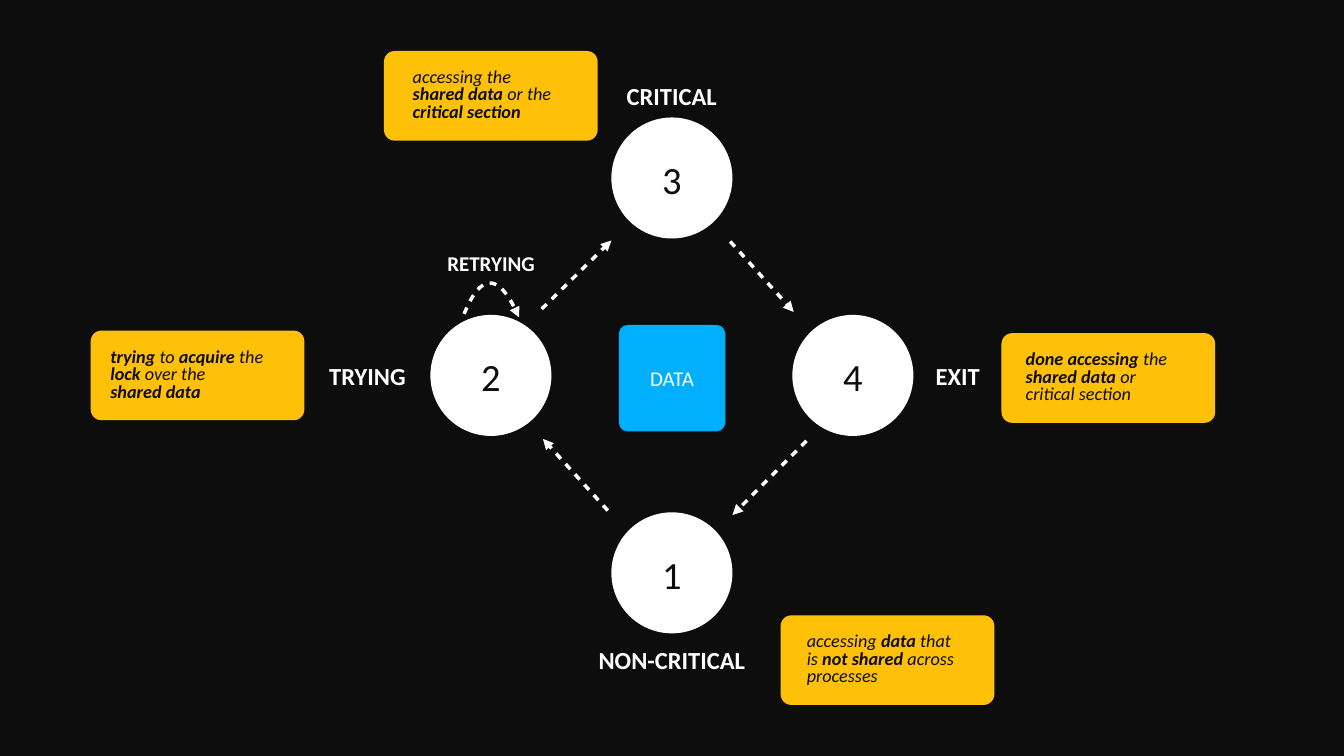
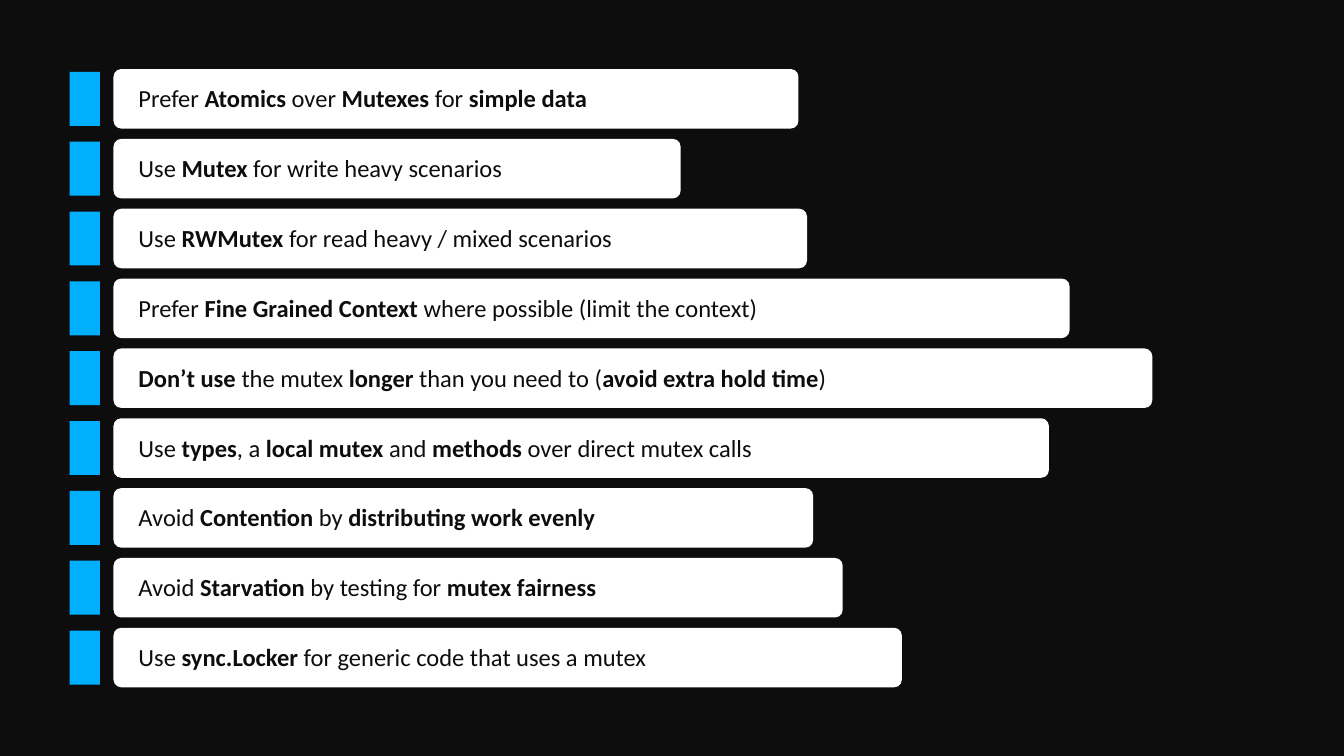
from dataclasses import dataclass

import lxml.etree
import pptx
import pptx.dml.color
import pptx.enum.shapes
import pptx.enum.text
import pptx.oxml.ns
import pptx.util

Cm, Pt = pptx.util.Cm, pptx.util.Pt
SHAPE = pptx.enum.shapes.MSO_SHAPE
ALIGN = pptx.enum.text.PP_ALIGN


# Colours, font and type sizes (points)
@dataclass(frozen=True)
class Theme:
    dark: str = "0D0D0D"
    white: str = "FFFFFF"
    amber: str = "FFC107"
    blue: str = "00B0FF"
    font: str = "Calibri"
    digit: int = 55
    label: int = 35
    small: int = 30
    note: int = 26
    before: int = 34
    stroke: int = 5


THEME = Theme()

# Cycle of lock states: ring centre, radii and circle size (cm)
MID_X, MID_Y = 33.86, 18.92
STEP_X, STEP_Y = 9.12, 9.95
DISC = 6.1

# digit, column, row, name, then left, top and width of the name
STATES = [
    ("1", 0, 1, "NON-CRITICAL", 29.21, 32.28, 9.3),
    ("2", -1, 0, "TRYING", 16.03, 17.93, 4.98),
    ("3", 0, -1, "CRITICAL", 30.91, 3.84, 5.89),
    ("4", 1, 0, "EXIT", 46.74, 17.93, 3.05),
]
ARROWS = [
    (27.3, 15.57, 30.81, 12.12),
    (36.8, 12.17, 40, 15.72),
    (40.64, 22.22, 36.91, 25.96),
    (30.63, 25.73, 27.36, 22.12),
]
RETRY = [(23.39, 15.82), (24.26, 13.69), (25.17, 13.74), (26.16, 16)]

# left, top, text indent, text width, text with *bold* parts
NOTES = [
    (39.34, 31.01, 1.24, 8.59,
     "accessing *data* that\nis *not shared* across\nprocesses"),
    (4.57, 16.66, 0.91, 8.94,
     "*trying* to *acquire* the\n*lock* over the\n*shared data*"),
    (19.35, 2.57, 1.37, 8,
     "accessing the\n*shared data* or the\n*critical section*"),
    (50.47, 16.79, 1.14, 8.51,
     "*done accessing* the\n*shared data* or\ncritical section"),
]

# bar width, text with *bold* parts
TIPS = [
    (34.52, "Prefer *Atomics* over *Mutexes* for *simple data*"),
    (28.58, "Use *Mutex* for write heavy scenarios"),
    (34.95, "Use *RWMutex* for read heavy / mixed scenarios"),
    (48.18, "Prefer *Fine Grained Context* where possible (limit the context)"),
    (52.35, "*Don’t use* the mutex *longer* than you need to "
            "(*avoid extra hold time*)"),
    (47.14, "Use *types*, a *local mutex* and *methods* over direct mutex calls"),
    (35.26, "Avoid *Contention* by *distributing work evenly*"),
    (36.75, "Avoid *Starvation* by testing for *mutex fairness*"),
    (39.73, "Use *sync.Locker* for generic code that uses a mutex"),
]


def paint(name):
    return pptx.dml.color.RGBColor.from_string(name)


def add_page(deck):
    page = deck.slides.add_slide(deck.slide_layouts[6])
    page.background.fill.solid()
    page.background.fill.fore_color.rgb = paint(THEME.dark)
    return page


def add_block(page, kind, left, top, width, height, color, round_by=None):
    block = page.shapes.add_shape(kind, Cm(left), Cm(top), Cm(width), Cm(height))
    block.shadow.inherit = False
    block.fill.solid()
    block.fill.fore_color.rgb = paint(color)
    block.line.fill.background()
    if round_by is not None:
        block.adjustments[0] = round_by


def add_text(page, text, left, top, width, height, *, size=THEME.label,
             color=THEME.white, bold=False, italic=False, align=None,
             before=THEME.before, spacing=None, inset=0.15):
    """Asterisks in the text switch bold on and off."""
    box = page.shapes.add_textbox(Cm(left), Cm(top), Cm(width), Cm(height))
    frame = box.text_frame
    frame.word_wrap = False
    frame.auto_size = pptx.enum.text.MSO_AUTO_SIZE.SHAPE_TO_FIT_TEXT
    frame.vertical_anchor = pptx.enum.text.MSO_ANCHOR.MIDDLE
    frame.margin_left = frame.margin_right = Cm(inset)
    frame.margin_top = frame.margin_bottom = Cm(inset)
    for row, line in enumerate(text.split("\n")):
        para = frame.add_paragraph() if row else frame.paragraphs[0]
        para.alignment = align
        para.line_spacing = spacing
        if before:
            para.space_before = Pt(before)
        for part, words in enumerate(line.split("*")):
            if not words:
                continue
            run = para.add_run()
            run.text = words
            run.font.name = THEME.font
            run.font.size = Pt(size)
            run.font.bold = bold or part % 2 == 1
            run.font.italic = italic
            run.font.color.rgb = paint(color)


def style_arrow(shape):
    """White dashed stroke with a head at its end and no shadow."""
    shape.line.color.rgb = paint(THEME.white)
    shape.line.width = Pt(THEME.stroke)
    qn = pptx.oxml.ns.qn
    props = shape._element.spPr
    line = props.find(qn("a:ln"))
    dash = lxml.etree.SubElement(line, qn("a:custDash"))
    lxml.etree.SubElement(dash, qn("a:ds"), d="200000", sp="200000")
    lxml.etree.SubElement(line, qn("a:tailEnd"), type="triangle")
    lxml.etree.SubElement(props, qn("a:effectLst"))


def add_arrow(page, *ends):
    kind = pptx.enum.shapes.MSO_CONNECTOR.STRAIGHT
    style_arrow(page.shapes.add_connector(kind, *map(Cm, ends)))


def add_curve(page, knots, steps=24):
    """Arrow along a cubic curve with four control points."""
    def place(t):
        parts = ((1 - t) ** 3, 3 * t * (1 - t) ** 2, 3 * t * t * (1 - t), t ** 3)
        return tuple(Cm(sum(p * k[axis] for p, k in zip(parts, knots)))
                     for axis in (0, 1))

    dots = [place(n / steps) for n in range(steps + 1)]
    pen = page.shapes.build_freeform(*dots[0])
    pen.add_line_segments(dots[1:], close=False)
    curve = pen.convert_to_shape()
    curve.fill.background()
    style_arrow(curve)


def add_state(page, digit, col, row, name, left, top, width):
    x, y = MID_X + col * STEP_X, MID_Y + row * STEP_Y
    add_block(page, SHAPE.OVAL, x - DISC / 2, y - DISC / 2, DISC, DISC, THEME.white)
    add_text(page, digit, x - 0.84, y - 1.4, 1.68, 2.92, size=THEME.digit,
             color=THEME.dark, align=ALIGN.CENTER)
    add_text(page, name, left, top, width, 1.98, bold=True, align=ALIGN.CENTER)


def add_note(page, left, top, indent, width, text):
    add_block(page, SHAPE.ROUNDED_RECTANGLE, left, top, 10.77, 4.52,
              THEME.amber, 0.12)
    add_text(page, text, left + indent, top + 0.53, width, 3.45,
             size=THEME.note, color=THEME.dark, italic=True, before=0,
             spacing=0.8, inset=0.08)


def add_tip(page, top, width, text):
    add_block(page, SHAPE.ROUNDED_RECTANGLE, 5.72, top, width, 3, THEME.white, 0.13)
    add_text(page, text, 6.83, top + 0.47, width - 2.24, 1.98, color=THEME.dark)
    add_block(page, SHAPE.RECTANGLE, 3.51, top + 0.14, 1.52, 2.72, THEME.blue)


def draw_cycle(page):
    for state in STATES:
        add_state(page, *state)
    for ends in ARROWS:
        add_arrow(page, *ends)
    add_curve(page, RETRY)
    add_text(page, "RETRYING", 21.92, 12.42, 5.66, 1.73, size=THEME.small,
             bold=True, align=ALIGN.CENTER)
    for note in NOTES:
        add_note(page, *note)
    # Shared data in the middle of the ring
    add_block(page, SHAPE.ROUNDED_RECTANGLE, 31.19, 16.38, 5.36, 5.36,
              THEME.blue, 0.08)
    add_text(page, "DATA", 32.23, 18.19, 3.28, 1.73, size=THEME.small,
             align=ALIGN.CENTER)


def draw_tips(page):
    for row, (width, text) in enumerate(TIPS):
        add_tip(page, 3.48 + row * 3.52, width, text)


def main():
    deck = pptx.Presentation()
    deck.slide_width, deck.slide_height = Cm(67.73), Cm(38.1)
    draw_cycle(add_page(deck))
    draw_tips(add_page(deck))
    deck.save("out.pptx")


if __name__ == "__main__":
    main()
